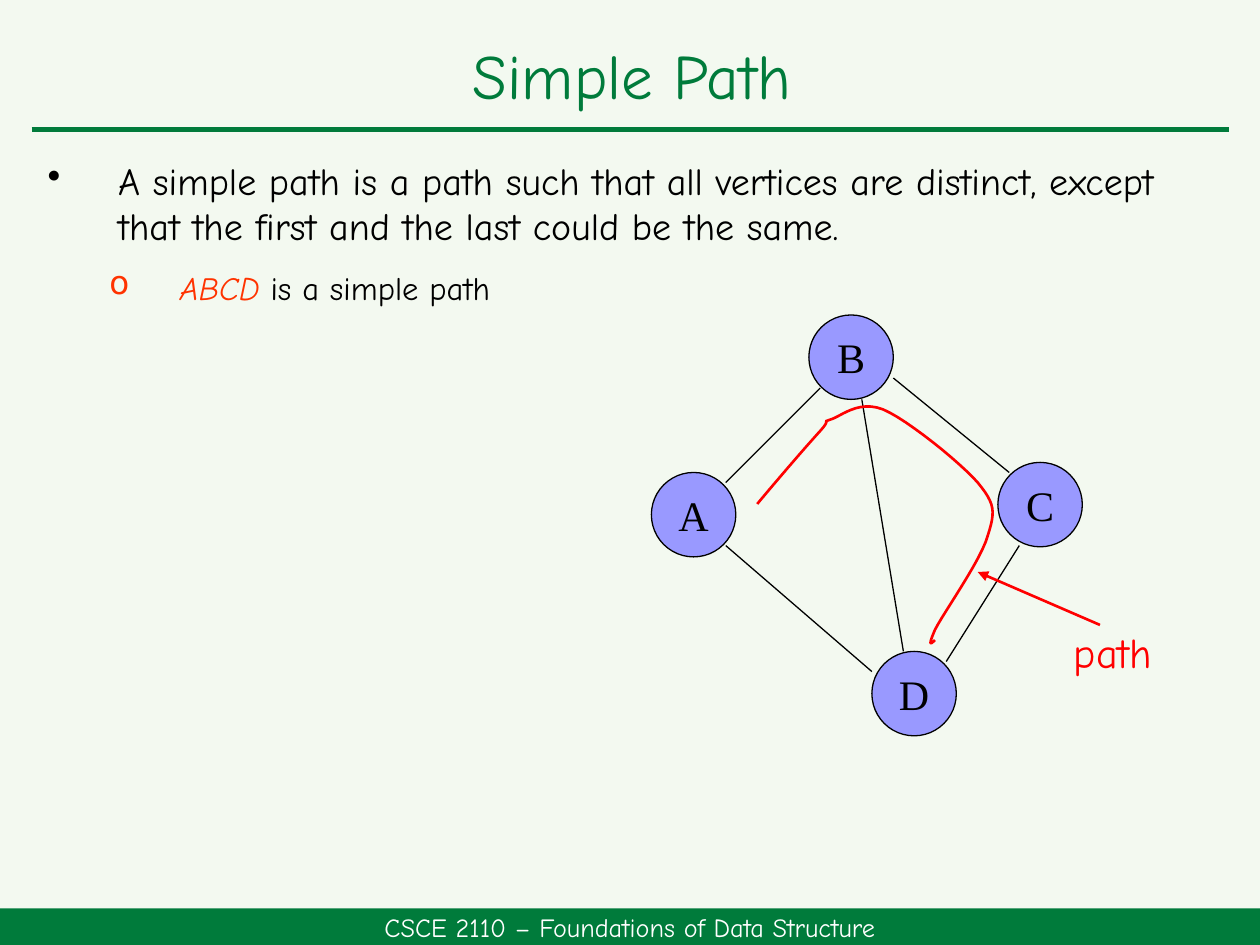
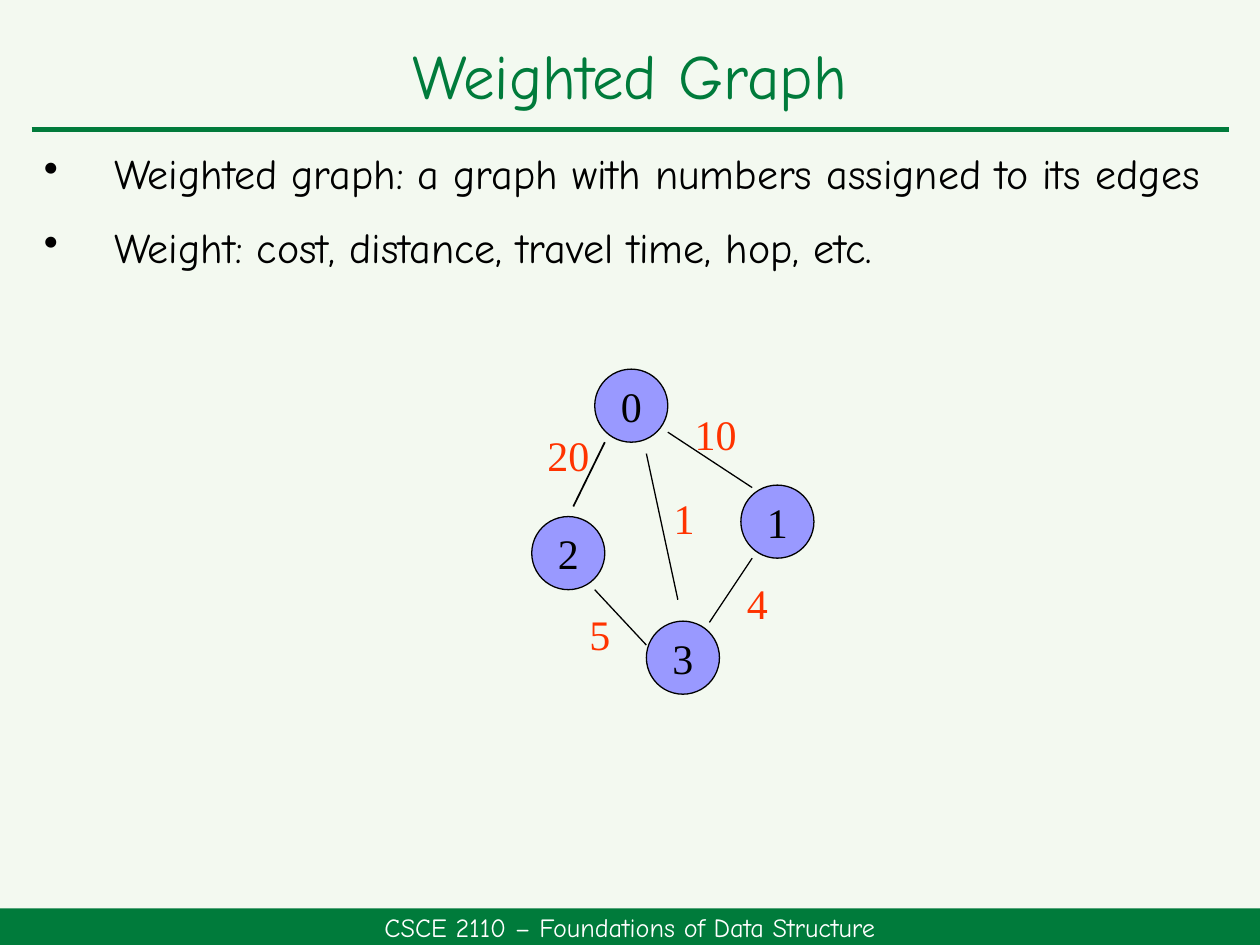
"""Build two slides on graphs: a simple path and a weighted graph."""
from typing import NamedTuple

from lxml import etree
from pptx import Presentation
from pptx import util as u
from pptx.dml import color
from pptx.enum import shapes, text
from pptx.oxml import ns

HUES = {
    "back": "F3F9F0", "green": "007B3B", "white": "FFFFFF", "black": "000000",
    "node": "9999FF", "mark": "FF3300", "red": "FF0000",
}
HAND = "Comic Neue"
SERIF = "Times New Roman"
FOOTER = "CSCE 2110 – Foundations of Data Structure"


class Box(NamedTuple):
    left: float
    top: float
    width: float
    height: float


class Style(NamedTuple):
    size: float
    hue: str = "black"
    face: str = HAND


class Node(NamedTuple):
    name: str
    left: float
    top: float


class Edge(NamedTuple):
    x1: float
    y1: float
    x2: float
    y2: float
    hue: str = "black"
    width: float = 0.75
    arrow: bool = False


class Label(NamedTuple):
    words: str
    box: Box
    style: Style


class Phrase(NamedTuple):
    words: str
    hue: str = "black"
    slant: bool = False


class Point(NamedTuple):
    phrases: list[Phrase]
    size: float
    mark: str = "•"
    indent: float = 0.56
    before: float = 10
    lead: float = 1.0


def rgb(hue: str) -> color.RGBColor:
    return color.RGBColor.from_string(HUES[hue])


def span(box: Box) -> list[u.Length]:
    return [u.Inches(side) for side in box]


def paint(font, style: Style) -> None:
    font.size = u.Pt(style.size)
    font.name = style.face
    font.color.rgb = rgb(style.hue)


def write(shape, words: str, style: Style, lead: float = 1.0) -> None:
    frame = shape.text_frame
    frame.text = words
    frame.word_wrap = True
    frame.vertical_anchor = text.MSO_ANCHOR.MIDDLE
    frame.margin_left = frame.margin_right = 0
    frame.margin_top = frame.margin_bottom = 0
    para = frame.paragraphs[0]
    para.alignment = text.PP_ALIGN.CENTER
    para.line_spacing = lead
    paint(para.runs[0].font, style)


def add_label(slide, label: Label, lead: float = 1.0) -> None:
    write(slide.shapes.add_textbox(*span(label.box)), label.words, label.style, lead)


def add_edge(slide, edge: Edge) -> None:
    ends = [u.Inches(n) for n in edge[:4]]
    link = slide.shapes.add_connector(shapes.MSO_CONNECTOR.STRAIGHT, *ends)
    link.line.color.rgb = rgb(edge.hue)
    link.line.width = u.Pt(edge.width)
    props = link._element.spPr
    if edge.arrow:
        etree.SubElement(props.find(ns.qn("a:ln")), ns.qn("a:tailEnd"), type="triangle")
    etree.SubElement(props, ns.qn("a:effectLst"))


def add_solid(slide, kind: shapes.MSO_SHAPE, box: Box, hue: str):
    shape = slide.shapes.add_shape(kind, *span(box))
    shape.shadow.inherit = False
    shape.fill.solid()
    shape.fill.fore_color.rgb = rgb(hue)
    shape.line.fill.background()
    return shape


def add_nodes(slide, nodes: list[Node], size: float) -> None:
    for node in nodes:
        box = Box(node.left, node.top, size, size)
        disc = add_solid(slide, shapes.MSO_SHAPE.OVAL, box, "node")
        disc.line.color.rgb = rgb("black")
        disc.line.width = u.Pt(0.75)
        write(disc, node.name, Style(24, face=SERIF))


def add_curve(slide, start: tuple, bends: list[tuple], hue: str, steps: int = 12) -> None:
    dots, last = [], start
    for bend in bends:
        knots = [last, bend[:2], bend[2:4], bend[4:]]
        for step in range(1, steps + 1):
            t = step / steps
            shares = ((1 - t) ** 3, 3 * t * (1 - t) ** 2, 3 * t * t * (1 - t), t ** 3)
            dots.append(tuple(
                u.Inches(sum(s * k[axis] for s, k in zip(shares, knots))) for axis in (0, 1)))
        last = bend[4:]
    pen = slide.shapes.build_freeform(u.Inches(start[0]), u.Inches(start[1]))
    pen.add_line_segments(dots, close=False)
    curve = pen.convert_to_shape()
    curve.shadow.inherit = False
    curve.fill.background()
    curve.line.color.rgb = rgb(hue)
    curve.line.width = u.Pt(1.5)


def add_points(slide, box: Box, points: list[Point]) -> None:
    frame = slide.shapes.add_textbox(*span(box)).text_frame
    frame.word_wrap = True
    for rank, point in enumerate(points):
        para = frame.add_paragraph() if rank else frame.paragraphs[0]
        props = para._p.get_or_add_pPr()
        props.set("marL", str(u.Inches(point.indent)))
        props.set("indent", str(-u.Inches(0.56)))
        tint = etree.SubElement(props, ns.qn("a:buClr"))
        etree.SubElement(tint, ns.qn("a:srgbClr"), val=HUES[point.phrases[0].hue])
        etree.SubElement(props, ns.qn("a:buChar"), char=point.mark)
        para.line_spacing = point.lead
        para.space_before = u.Pt(point.before if rank else 0)
        para.space_after = u.Pt(6)
        for phrase in point.phrases:
            run = para.add_run()
            run.text = phrase.words
            paint(run.font, Style(point.size, phrase.hue))
            run.font.italic = phrase.slant


def add_slide(deck, title: str, box: Box):
    slide = deck.slides.add_slide(deck.slide_layouts[6])
    slide.background.fill.solid()
    slide.background.fill.fore_color.rgb = rgb("back")
    add_edge(slide, Edge(0.25, 1.03, 9.75, 1.03, "green", 3))
    band = add_solid(slide, shapes.MSO_SHAPE.RECTANGLE, Box(0, 7.21, 10, 0.29), "green")
    write(band, FOOTER, Style(15, "white"))
    add_label(slide, Label(title, box, Style(36, "green")), 0.9)
    return slide


def draw_path(deck) -> None:
    slide = add_slide(deck, "Simple Path", Box(0.28, 0.25, 9.47, 0.75))
    add_points(slide, Box(0.28, 1.2, 9.42, 1.3), [
        Point([Phrase("A simple path is a path such that all vertices are distinct, "
                      "except that the first and the last could be the same.")], 21.7),
        Point([Phrase("ABCD", "mark", True), Phrase(" is a simple path")], 18.6, "o", 1.05, 5),
    ])
    add_nodes(slide, [Node("B", 6.42, 2.5), Node("C", 7.92, 3.67),
                      Node("D", 6.92, 5.17), Node("A", 5.17, 3.75)], 0.67)
    for edge in (
        Edge(6.51, 3.08, 5.76, 3.83),
        Edge(5.76, 4.33, 6.92, 5.33),
        Edge(7.51, 5.25, 8.09, 4.33),
        Edge(6.84, 3.17, 7.17, 5.17),
        Edge(7.09, 3, 8.01, 3.75),
        Edge(8.73, 4.96, 7.76, 4.54, "red", 1.5, True),
    ):
        add_edge(slide, edge)
    add_label(slide, Label("path", Box(8.42, 4.96, 0.83, 0.42), Style(24, "red")))
    add_curve(slide, (6.01, 4), [
        (6.21, 3.76, 6.41, 3.53, 6.51, 3.42),
        (6.61, 3.31, 6.51, 3.36, 6.59, 3.33),
        (6.67, 3.31, 6.81, 3.17, 7.01, 3.25),
        (7.2, 3.33, 7.62, 3.67, 7.76, 3.83),
        (7.9, 4, 7.9, 4.06, 7.84, 4.25),
        (7.79, 4.44, 7.49, 4.86, 7.42, 5),
        (7.36, 5.14, 7.39, 5.11, 7.42, 5.08),
    ], "red")


def draw_weights(deck) -> None:
    slide = add_slide(deck, "Weighted Graph", Box(0.25, 0.23, 9.5, 0.8))
    lines = ("Weighted graph: a graph with numbers assigned to its edges",
             "Weight: cost, distance, travel time, hop, etc.")
    add_points(slide, Box(0.25, 1.17, 9.5, 1.42),
               [Point([Phrase(line)], 24, lead=0.9) for line in lines])
    add_nodes(slide, [Node("0", 4.72, 2.93), Node("1", 5.88, 3.85),
                      Node("3", 5.13, 4.93), Node("2", 4.22, 4.1)], 0.58)
    for edge, cost, left, top in (
        (Edge(4.8, 3.51, 4.55, 4.02, width=1), "20", 4.3, 3.43),
        (Edge(5.3, 3.43, 5.97, 3.87), "10", 5.47, 3.26),
        (Edge(5.13, 3.6, 5.38, 4.76), "1", 5.22, 3.93),
        (Edge(4.72, 4.68, 5.13, 5.12), "5", 4.55, 4.85),
        (Edge(5.97, 4.43, 5.63, 4.94), "4", 5.8, 4.6),
    ):
        add_edge(slide, edge)
        add_label(slide, Label(cost, Box(left, top, 0.42, 0.36), Style(24, "mark", SERIF)))


def main() -> None:
    deck = Presentation()
    deck.slide_width, deck.slide_height = u.Inches(10), u.Inches(7.5)
    draw_path(deck)
    draw_weights(deck)
    deck.save("out.pptx")


if __name__ == "__main__":
    main()
